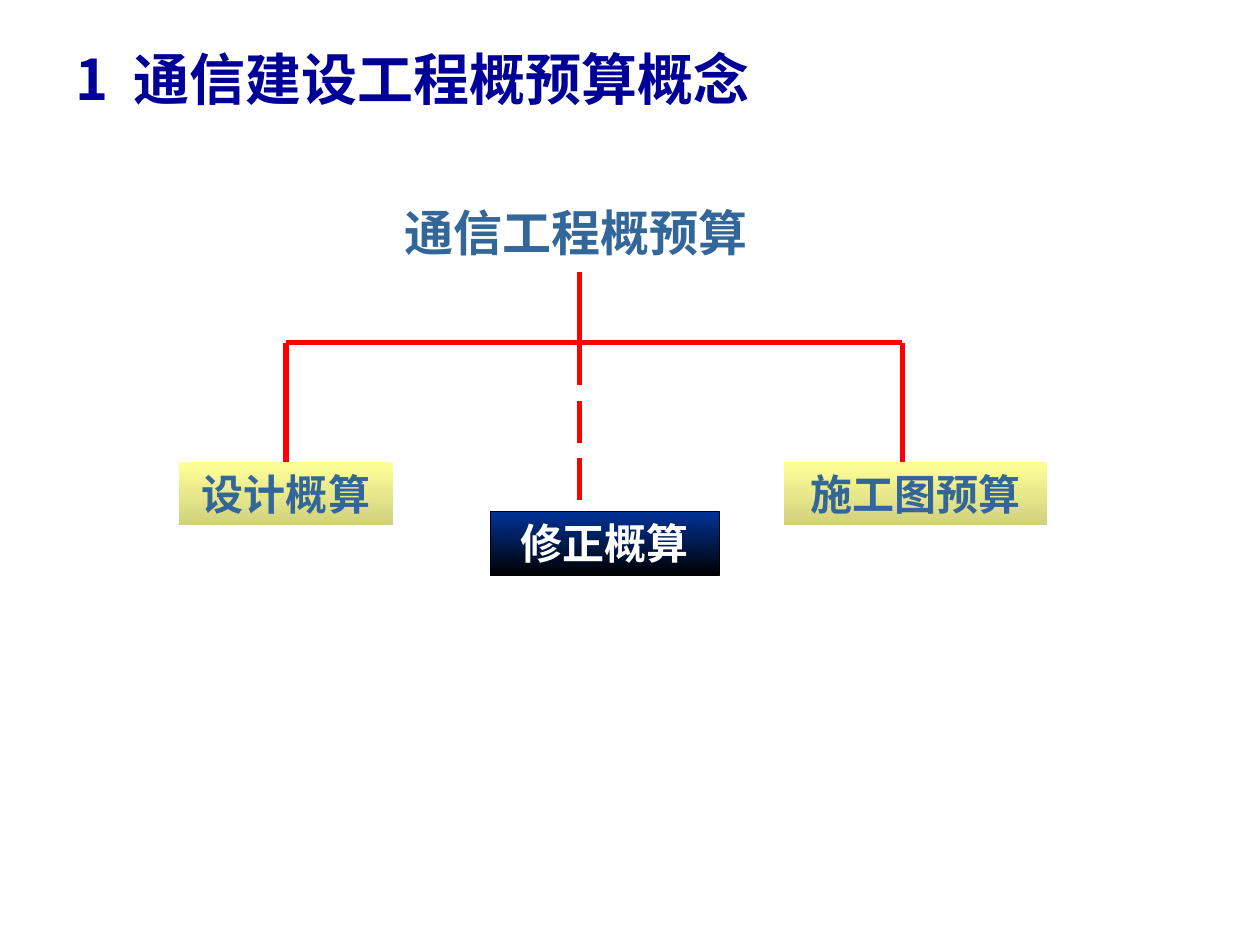
from dataclasses import dataclass

from lxml import etree
from pptx import Presentation, util as u
from pptx.dml.color import RGBColor
from pptx.enum import dml, shapes, text
from pptx.oxml.ns import qn


@dataclass(frozen=True)
class Theme:
    face: str = "Noto Sans CJK SC"
    title: str = "000099"
    label: str = "336699"
    light: str = "FFFFFF"
    branch: str = "FF0000"
    outline: str = "000000"
    yellow: tuple = ("FFFF99", "D1D17D")
    navy: tuple = ("003399", "000000")
    title_size: int = 32
    root_size: int = 28
    box_size: int = 24
    branch_width: int = 3


class Chart:
    def __init__(self, page, theme):
        self.page = page
        self.theme = theme

    def set_text(self, shape, words, size, color, align, spacing=1.0):
        frame = shape.text_frame
        para = frame.paragraphs[0]
        para.text = words
        para.alignment = align
        para.line_spacing = spacing
        font = para.font
        font.name = self.theme.face
        font.size = u.Pt(size)
        font.bold = True
        font.color.rgb = RGBColor.from_string(color)
        properties = para._p.pPr.find(qn("a:defRPr"))
        etree.SubElement(properties, qn("a:ea"), typeface=self.theme.face)
        return para

    def label(self, words, left, top, width, height, size, color,
              align=text.PP_ALIGN.LEFT, spacing=1.0, wrap=True):
        box = self.page.shapes.add_textbox(
            *map(u.Inches, (left, top, width, height)))
        box.text_frame.word_wrap = wrap
        return self.set_text(box, words, size, color, align, spacing)

    def title(self, words, left, top, width, height, hanging):
        para = self.label(words, left, top, width, height,
                          self.theme.title_size, self.theme.title)
        indent = u.Inches(hanging)
        para._p.pPr.set("marL", str(indent))
        para._p.pPr.set("indent", str(-indent))

    def box(self, words, left, top, width, height, shades, color, outline=None):
        box = self.page.shapes.add_shape(
            shapes.MSO_SHAPE.RECTANGLE,
            *map(u.Inches, (left, top, width, height)))
        box.shadow.inherit = False
        box.fill.gradient()
        box.fill.gradient_angle = 270
        for stop, shade in zip(box.fill.gradient_stops, shades):
            stop.color.rgb = RGBColor.from_string(shade)
        if outline:
            box.line.color.rgb = RGBColor.from_string(outline)
            box.line.width = u.Pt(0.75)
        else:
            box.line.fill.background()
        box.text_frame.word_wrap = True
        box.text_frame.vertical_anchor = text.MSO_ANCHOR.TOP
        self.set_text(box, words, self.theme.box_size, color,
                      text.PP_ALIGN.CENTER)
        return box

    def line(self, start, end, dash=None, target=None):
        line = self.page.shapes.add_connector(
            shapes.MSO_CONNECTOR.STRAIGHT, *map(u.Inches, start + end))
        line.line.color.rgb = RGBColor.from_string(self.theme.branch)
        line.line.width = u.Pt(self.theme.branch_width)
        if dash:
            line.line.dash_style = dash
        etree.SubElement(line._element.spPr, qn("a:effectLst"))
        if target:
            line.end_connect(target, 0)


def main():
    deck = Presentation()
    deck.slide_width, deck.slide_height = u.Inches(10), u.Inches(7.5)
    theme = Theme()
    chart = Chart(deck.slides.add_slide(deck.slide_layouts[6]), theme)

    left_x, trunk_x, right_x = 2.27, 4.6, 7.16
    bus_y, box_y = 2.72, 3.67

    chart.title("1\t通信建设工程概预算概念", 0.5, 0.3, 8.04, 0.85, 0.46)
    design = chart.box("设计概算", 1.42, box_y, 1.7, 0.5,
                       theme.yellow, theme.label)
    chart.box("施工图预算", 6.22, box_y, 2.09, 0.5, theme.yellow, theme.label)
    chart.label("通信工程概预算", 3.11, 1.42, 2.92, 0.71, theme.root_size,
                theme.label, text.PP_ALIGN.CENTER, 1.3, False)

    chart.line((left_x, bus_y), (left_x, box_y), target=design)
    chart.line((left_x, bus_y), (right_x, bus_y))
    chart.line((right_x, bus_y), (right_x, box_y))
    chart.line((trunk_x, 2.16), (trunk_x, bus_y))
    chart.line((trunk_x, bus_y), (trunk_x, 3.98), dml.MSO_LINE.LONG_DASH)
    chart.box("修正概算", 3.89, 4.06, 1.82, 0.51,
              theme.navy, theme.light, theme.outline)

    deck.save("out.pptx")


if __name__ == "__main__":
    main()
